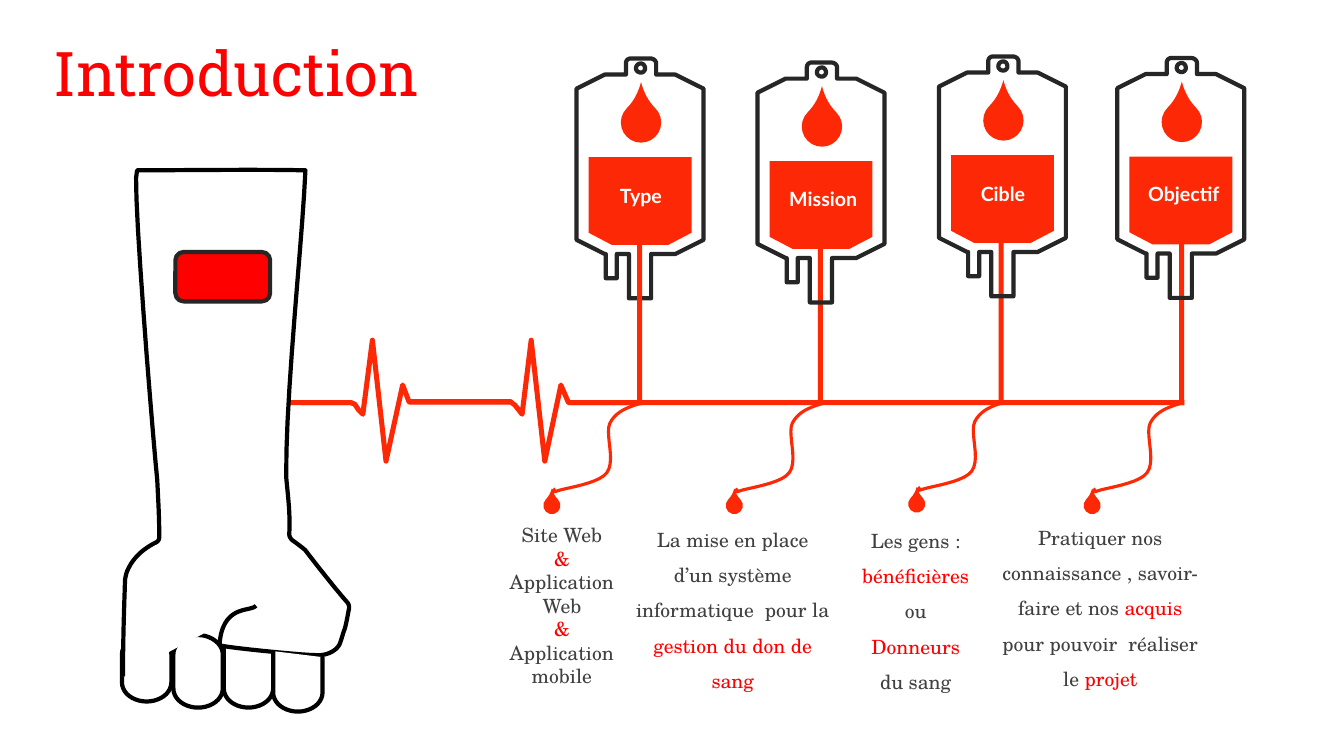
from pptx import Presentation
from pptx.dml.color import RGBColor
from pptx.enum.shapes import MSO_SHAPE
from pptx.enum.text import MSO_ANCHOR, PP_ALIGN
from pptx.util import Pt
from lxml.etree import SubElement
from pptx.oxml.ns import qn

HUES = {"blood": "FD2906", "red": "FF0000", "edge": "262626",
        "ink": "000000", "text": "404040", "white": "FFFFFF"}
BODY = "TeX Gyre Schola"

# Outlines on a grid of 0.72 pt: pairs are lines, sixes are cubic curves
LIQUID = [(584, 156), (686, 156), (686, 231), (663, 243), (607, 243), (584, 231)]
HOLE = [(636, 63), (633, 63, 631, 65, 631, 68), (631, 70, 633, 72, 636, 72),
        (638, 72, 640, 70, 640, 68), (640, 65, 638, 63, 636, 63)]
POUCH = [(626, 58), (645, 58), (648, 58, 651, 60, 651, 63), (651, 74), (670, 74),
         (698, 88), (698, 238), (670, 252), (646, 252), (646, 296), (624, 296),
         (624, 252), (612, 252), (612, 276), (601, 276), (601, 252), (600, 252),
         (572, 238), (572, 88), (600, 74), (621, 74), (621, 63),
         (621, 60, 623, 58, 626, 58)]
PULSE = [(299, 399.5), (348, 399.5), (352, 401), (356, 407), (360, 411), (369.5, 337.5),
         (383, 457.5), (399.5, 382), (406, 399), (507, 399), (511, 402),
         (518, 411), (527, 337.5), (540.5, 457.5), (556.5, 382), (564, 399.5),
         (636, 399.5)]
WIRE = [(636, 400), (623, 404, 611, 408, 605, 420), (600, 431, 611, 457, 602, 469),
        (594, 480, 561, 484, 553, 487), (544, 490, 551, 485, 551, 485)]
ARM = [(254, 601), (252, 603, 250, 603, 247, 604), (242, 605, 238, 606, 234, 608),
       (222, 614, 218, 629, 218, 640), (218, 642, 300, 650, 313, 650),
       (323, 651, 334, 646, 337, 639), (339, 634, 340, 629, 342, 624),
       (343, 621, 345, 611, 346, 605), (347, 602, 346, 599, 344, 597),
       (335, 587, 312, 558, 303, 546), (301, 544, 293, 538, 290, 536),
       (289, 535, 287, 533, 287, 530), (288, 510, 286, 495, 284, 474),
       (283, 393, 300, 240, 303, 169), (253, 168, 188, 169, 136, 169),
       (130, 169, 152, 439, 156, 476), (157, 498, 158, 511, 158, 533),
       (158, 536, 156, 538, 153, 539), (140, 546, 131, 555, 126, 567),
       (125, 570, 124, 574, 124, 577), (123, 607, 122, 638, 122, 671)]

BAGS = [(0, 0), (179.5, 4), (359.5, -2), (536.5, -0.5)]
WIRES = [(0, 0), (181, 0), (362, -1.5), (536, 0)]
LABELS = [("Type", 603, 177, 69), ("Mission", 771, 180, 105),
          ("Cible", 961, 176, 69), ("Objectif", 1127, 176, 106)]

# Every second part between bars is red
NOTES = [
    ((486, 514, 143, 215), 1,
     ["Site Web", "|&", "Application", "Web", "|&", "Application mobile"]),
    ((620, 507, 214, 207), 1.5,
     ["La mise en place d’un système informatique  pour la",
      "|gestion du don de sang"]),
    ((832, 508, 153, 187), 1.5,
     ["Les gens :", "|bénéficières", "ou", "|Donneurs", "du sang"]),
    ((984, 505, 215, 187), 1.5,
     ["Pratiquer nos connaissance , savoir-faire et nos |acquis"
      "| pour pouvoir  réaliser le |projet"]),
]


def unit(n):
    return Pt(n * 0.72)


def hue(name):
    return RGBColor.from_string(HUES[name])


def paint(shape, fill=None, line=None, width=3):
    shape.shadow.inherit = False
    if fill:
        shape.fill.solid()
        shape.fill.fore_color.rgb = hue(fill)
    else:
        shape.fill.background()
    if line:
        shape.line.color.rgb = hue(line)
        shape.line.width = Pt(width)
    else:
        shape.line.fill.background()
    return shape


def trace(steps, dx=0, dy=0, cuts=10):
    """Turn lines and cubic curves into a row of points."""
    dots = [steps[0]]
    for step in steps[1:]:
        if len(step) == 2:
            dots.append(step)
            continue
        start, ends = dots[-1], (step[:2], step[2:4], step[4:])
        for i in range(1, cuts + 1):
            t = i / cuts
            s = 1 - t
            mix = (s ** 3, 3 * s * s * t, 3 * s * t * t, t ** 3)
            dots.append(tuple(sum(m * p[k] for m, p in zip(mix, (start, *ends)))
                              for k in (0, 1)))
    return [(unit(x + dx), unit(y + dy)) for x, y in dots]


def outline(slide, parts, move=(0, 0), close=False, **look):
    rows = [trace(part, *move) for part in parts]
    pen = slide.shapes.build_freeform(*rows[0][0], scale=1.0)
    for i, row in enumerate(rows):
        if i:
            pen.move_to(*row[0])
        pen.add_line_segments(row[1:], close=close)
    return paint(pen.convert_to_shape(), **look)


def block(slide, kind, box, fill="blood", line=None, adj=None, turn=0):
    shape = slide.shapes.add_shape(kind, *map(unit, box))
    if adj is not None:
        shape.adjustments[0] = adj
    shape.rotation = turn
    return paint(shape, fill, line)


def drop(slide, x, y, size):
    block(slide, MSO_SHAPE.TEAR, (x, y, size, size), adj=1.416, turn=315)


def bag(slide, dx, dy):
    outline(slide, [LIQUID], (dx, dy), True, fill="blood")
    outline(slide, [HOLE, POUCH], (dx, dy), True, line="edge")
    drop(slide, 616 + dx, 101.5 + dy, 40)


def finger(slide, x, left, right, base, cap=False):
    mid, far, low = x + 24.5, x + 49, base - 19
    steps = [(far, right), (far, low), (far, base - 8, mid + 13, base, mid, base),
             (mid - 13, base, x, base - 8, x, low), (x, left)]
    if cap:
        top = left - 19
        steps += [(x, left - 10, mid - 13, top, mid, top),
                  (mid + 13, top, far, left - 10, far, left)]
    outline(slide, [steps], close=cap, fill="white", line="ink")


def write(slide, box, lines, font, size, color, align=PP_ALIGN.LEFT,
          space=1, bold=False, pad=(10, 5), anchor=MSO_ANCHOR.TOP):
    frame = slide.shapes.add_textbox(*map(unit, box)).text_frame
    frame.word_wrap = True
    frame.vertical_anchor = anchor
    frame.margin_left = frame.margin_right = unit(pad[0])
    frame.margin_top = frame.margin_bottom = unit(pad[1])
    for i, line in enumerate(lines):
        para = frame.paragraphs[0] if i == 0 else frame.add_paragraph()
        para.alignment, para.line_spacing = align, space
        para.font.name, para.font.size, para.font.bold = font, Pt(size), bold
        para.font.color.rgb = hue(color)
        for k, part in enumerate(line.split("|")):
            if part:
                run = para.add_run()
                run.text = part
                if k % 2:
                    run.font.color.rgb = hue("red")


def main():
    deck = Presentation()
    deck.slide_width, deck.slide_height = Pt(960), Pt(540)
    slide = deck.slides.add_slide(deck.slide_layouts[6])

    # First bag, then the tubes and the pulse line
    bag(slide, *BAGS[0])
    block(slide, MSO_SHAPE.ROUNDED_RECTANGLE, (405, 396, 104, 5), adj=0.5)
    for i in range(4):
        block(slide, MSO_SHAPE.RECTANGLE, (632 + 179.3 * i, 241, 5, 161))
    pulse = outline(slide, [PULSE], line="blood", width=3.6)
    SubElement(pulse.line._get_or_add_ln(), qn("a:round"))
    block(slide, MSO_SHAPE.RECTANGLE, (565, 397, 610, 5))
    block(slide, MSO_SHAPE.ROUNDED_RECTANGLE, (217, 397, 134, 5), adj=0.5)

    # Arm with its fist and plaster
    finger(slide, 222, 642, 648, 702)
    finger(slide, 172, 649, 649, 702, cap=True)
    finger(slide, 121, 649, 649, 696, cap=True)
    outline(slide, [ARM], fill="white", line="ink")
    finger(slide, 271, 646, 652, 706)
    block(slide, MSO_SHAPE.ROUNDED_RECTANGLE, (174, 250, 94, 49), "red", "edge")

    # Other bags and all labels
    for move in BAGS[1:]:
        bag(slide, *move)
    for word, x, y, wide in LABELS:
        write(slide, (x, y, wide, 34), [word], "Lato", 14, "white",
              bold=True, pad=(12, 5))

    # Title and notes
    write(slide, (49, 34, 573, 74), ["Introduction"], "Roboto Slab", 44, "red",
          pad=(4, 0), anchor=MSO_ANCHOR.MIDDLE)
    for box, space, lines in NOTES:
        write(slide, box, lines, BODY, 14, "text", PP_ALIGN.CENTER, space)

    # Wires with drops
    for dx, dy in WIRES:
        outline(slide, [WIRE], (dx, dy), line="blood", width=2.25)
        drop(slide, 539 + dx, 493 + dy, 17)
    deck.save("out.pptx")


if __name__ == "__main__":
    main()
